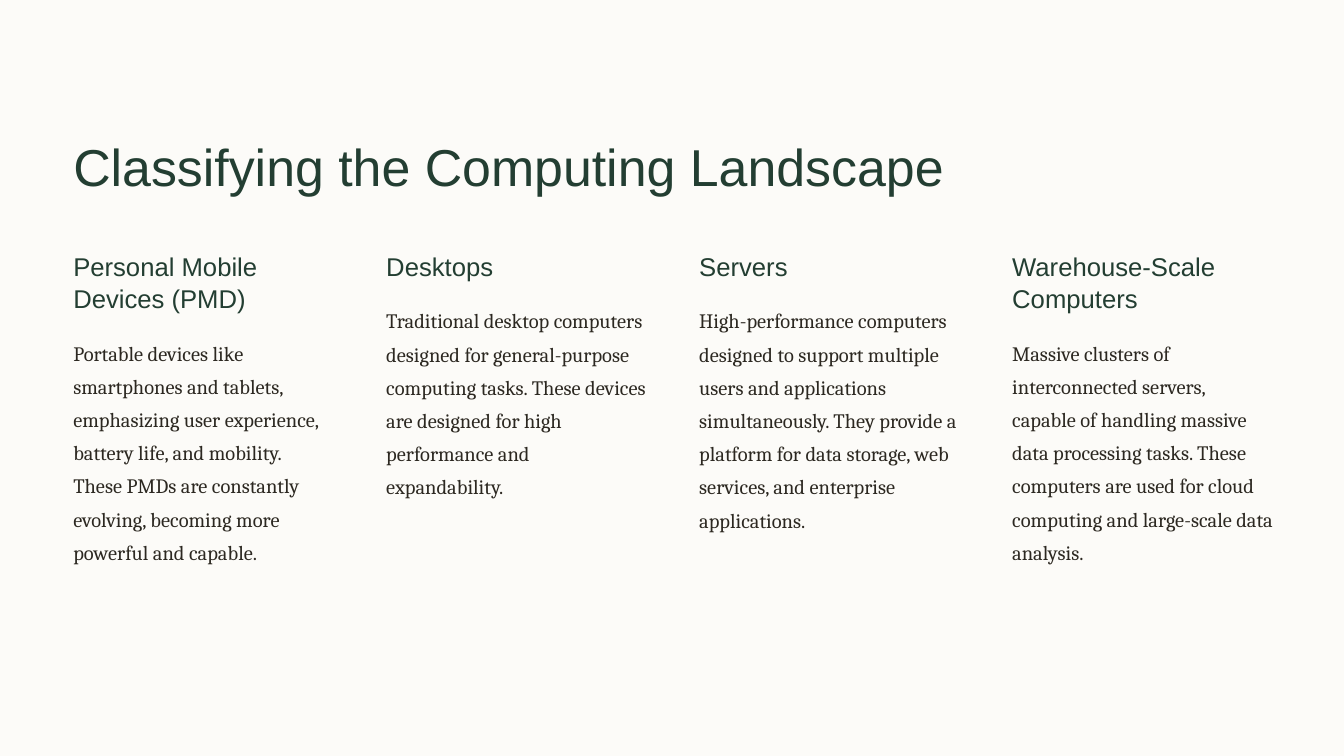
from pptx import Presentation
from pptx.dml.color import RGBColor
from pptx.enum.shapes import MSO_SHAPE
from pptx.util import Cm, Pt

TITLE = "Classifying the Computing Landscape"
# Heading, lines in heading, description, lines in description
CLASSES = [
    ("Personal Mobile Devices (PMD)", 2,
     "Portable devices like smartphones and tablets, emphasizing user experience, "
     "battery life, and mobility. These PMDs are constantly evolving, becoming more "
     "powerful and capable.", 7),
    ("Desktops", 1,
     "Traditional desktop computers designed for general-purpose computing tasks. "
     "These devices are designed for high performance and expandability.", 6),
    ("Servers", 1,
     "High-performance computers designed to support multiple users and applications "
     "simultaneously. They provide a platform for data storage, web services, and "
     "enterprise applications.", 7),
    ("Warehouse-Scale Computers", 2,
     "Massive clusters of interconnected servers, capable of handling massive data "
     "processing tasks. These computers are used for cloud computing and large-scale "
     "data analysis.", 7),
]
COLORS = {"paper": "FCFBF8", "heading": "233E32", "body": "2C2821"}
# Font, size and line spacing in points, colour
STYLES = {
    "title": ("Arial", 55.6, 69.4, "heading"),
    "heading": ("Arial", 27.5, 34.4, "heading"),
    "body": ("Cambria", 21.9, 35.6, "body"),
}

# Layout in centimetres
WIDTH, HEIGHT = 50.8, 28.58
LEFT, COLUMN_WIDTH, COLUMN_STEP = 2.77, 9.88, 11.83
TITLE_TOP, HEADING_TOP = 5, 9.42
HEADING_LINE, BODY_LINE = 1.22, 1.26
HEADING_PAD, BODY_PAD, GAP = 0.08, 1.44, 0.61


def add_text(page, text, style, left, top, width, height):
    box = page.shapes.add_textbox(Cm(left), Cm(top), Cm(width), Cm(height))
    frame = box.text_frame
    frame.word_wrap = True
    frame.margin_left = frame.margin_right = 0
    frame.margin_top = frame.margin_bottom = 0
    para = frame.paragraphs[0]
    para.text = text
    name, size, spacing, color = STYLES[style]
    para.line_spacing = Pt(spacing)
    para.font.name = name
    para.font.size = Pt(size)
    para.font.color.rgb = RGBColor.from_string(COLORS[color])


def main():
    deck = Presentation()
    deck.slide_width, deck.slide_height = Cm(WIDTH), Cm(HEIGHT)
    page = deck.slides.add_slide(deck.slide_layouts[6])

    # Paper panel
    panel = page.shapes.add_shape(
        MSO_SHAPE.RECTANGLE, 0, 0, deck.slide_width, deck.slide_height)
    panel.shadow.inherit = False
    panel.fill.solid()
    panel.fill.fore_color.rgb = RGBColor.from_string(COLORS["paper"])
    panel.line.fill.background()

    # Title
    add_text(page, TITLE, "title", LEFT, TITLE_TOP, 33.12, 2.51)

    # One column per class; the description follows its heading
    for index, (heading, heading_lines, body, body_lines) in enumerate(CLASSES):
        left = LEFT + index * COLUMN_STEP
        heading_height = heading_lines * HEADING_LINE + HEADING_PAD
        body_top = HEADING_TOP + heading_height + GAP
        body_height = body_lines * BODY_LINE + BODY_PAD
        add_text(page, heading, "heading", left, HEADING_TOP, COLUMN_WIDTH, heading_height)
        add_text(page, body, "body", left, body_top, COLUMN_WIDTH, body_height)

    deck.save("out.pptx")


if __name__ == "__main__":
    main()
